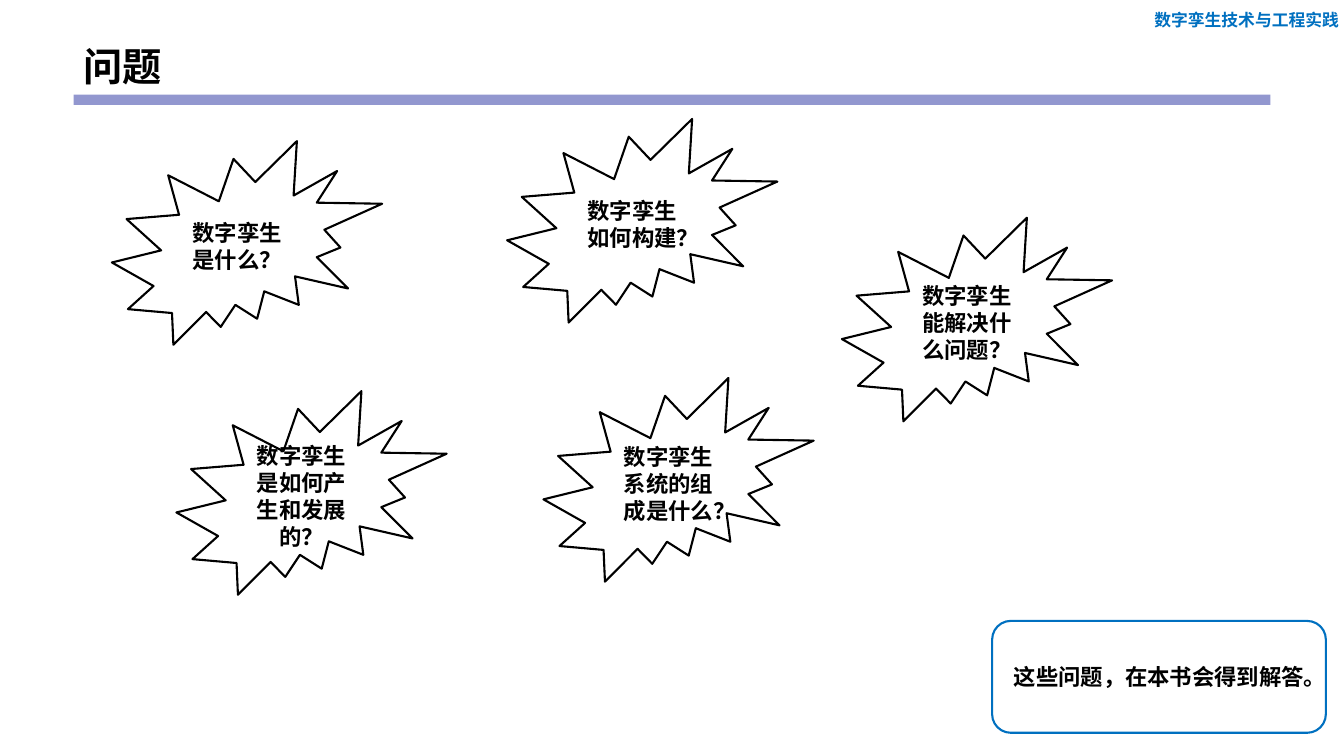
from lxml import etree
from pptx import Presentation
from pptx import util as u
from pptx.dml.color import RGBColor
from pptx.enum import lang, shapes, text
from pptx.oxml.ns import qn

BLACK = RGBColor(0x00, 0x00, 0x00)
BLUE = RGBColor(0x00, 0x70, 0xC0)
LAVENDER = RGBColor(0x92, 0x97, 0xCF)
BODY_FONT = "Noto Sans CJK SC"
TITLE_FONT = "Montserrat"

WIDTH, HEIGHT = 13.33, 7.5
MARGIN = 0.73
TITLE_HEIGHT = 0.94
BURST_SIZE = (2.68, 2.02)

BOOK_NAME = "数字孪生技术与工程实践"
TITLE = "问题"
QUESTIONS = [  # wording, left, top
    ("数字孪生是什么？", 1.11, 1.4),
    ("数字孪生如何构建？", 5.03, 1.18),
    ("数字孪生能解决什么问题？", 8.35, 2.16),
    ("数字孪生是如何产生和发展的？", 1.75, 3.88),
    ("数字孪生系统的组成是什么？", 5.39, 3.75),
]
ANSWER = "这些问题，在本书会得到解答。"


def inches(*lengths):
    return [u.Inches(length) for length in lengths]


def write(shape, wording, size, color=BLACK, font_name=BODY_FONT):
    """Put one bold paragraph in the shape and return it."""
    shape.text_frame.text = wording
    paragraph = shape.text_frame.paragraphs[0]
    run = paragraph.runs[0]
    run.font.size = u.Pt(size)
    run.font.bold = True
    run.font.color.rgb = color
    run.font.name = font_name
    run.font.language_id = lang.MSO_LANGUAGE_ID.SIMPLIFIED_CHINESE
    east_asian = etree.SubElement(run._r.get_or_add_rPr(), qn("a:ea"))
    east_asian.set("typeface", BODY_FONT)
    return paragraph


def add_outlined(slide, kind, box, wording, line_color):
    """Add an unfilled shape with centred text."""
    shape = slide.shapes.add_shape(kind, *inches(*box))
    shape.shadow.inherit = False
    shape.fill.background()
    shape.line.color.rgb = line_color
    shape.line.width = u.Pt(1.5)
    shape.text_frame.word_wrap = True
    shape.text_frame.vertical_anchor = text.MSO_ANCHOR.MIDDLE
    write(shape, wording, 16).alignment = text.PP_ALIGN.CENTER


def add_header(slide):
    content_width = WIDTH - 2 * MARGIN
    book_name = slide.shapes.add_textbox(*inches(11.35, 0.05, 2.05, 0.3))
    book_name.text_frame.word_wrap = False
    write(book_name, BOOK_NAME, 12, BLUE)

    rule = slide.shapes.add_shape(
        shapes.MSO_SHAPE.RECTANGLE,
        *inches(MARGIN, TITLE_HEIGHT, content_width, 0.1))
    rule.shadow.inherit = False
    rule.fill.solid()
    rule.fill.fore_color.rgb = LAVENDER
    rule.line.fill.background()

    title = slide.shapes.add_textbox(
        *inches(MARGIN, 0, content_width, TITLE_HEIGHT))
    title.text_frame.word_wrap = True
    title.text_frame.vertical_anchor = text.MSO_ANCHOR.BOTTOM
    write(title, TITLE, 28, font_name=TITLE_FONT).line_spacing = 0.9


def main():
    presentation = Presentation()
    presentation.slide_width, presentation.slide_height = inches(WIDTH, HEIGHT)
    slide = presentation.slides.add_slide(presentation.slide_layouts[6])
    add_header(slide)
    for wording, left, top in QUESTIONS:
        add_outlined(slide, shapes.MSO_SHAPE.EXPLOSION2,
                     (left, top, *BURST_SIZE), wording, BLACK)
    add_outlined(slide, shapes.MSO_SHAPE.ROUNDED_RECTANGLE,
                 (9.84, 6.16, 3.31, 1.11), ANSWER, BLUE)
    presentation.save("out.pptx")


if __name__ == "__main__":
    main()
